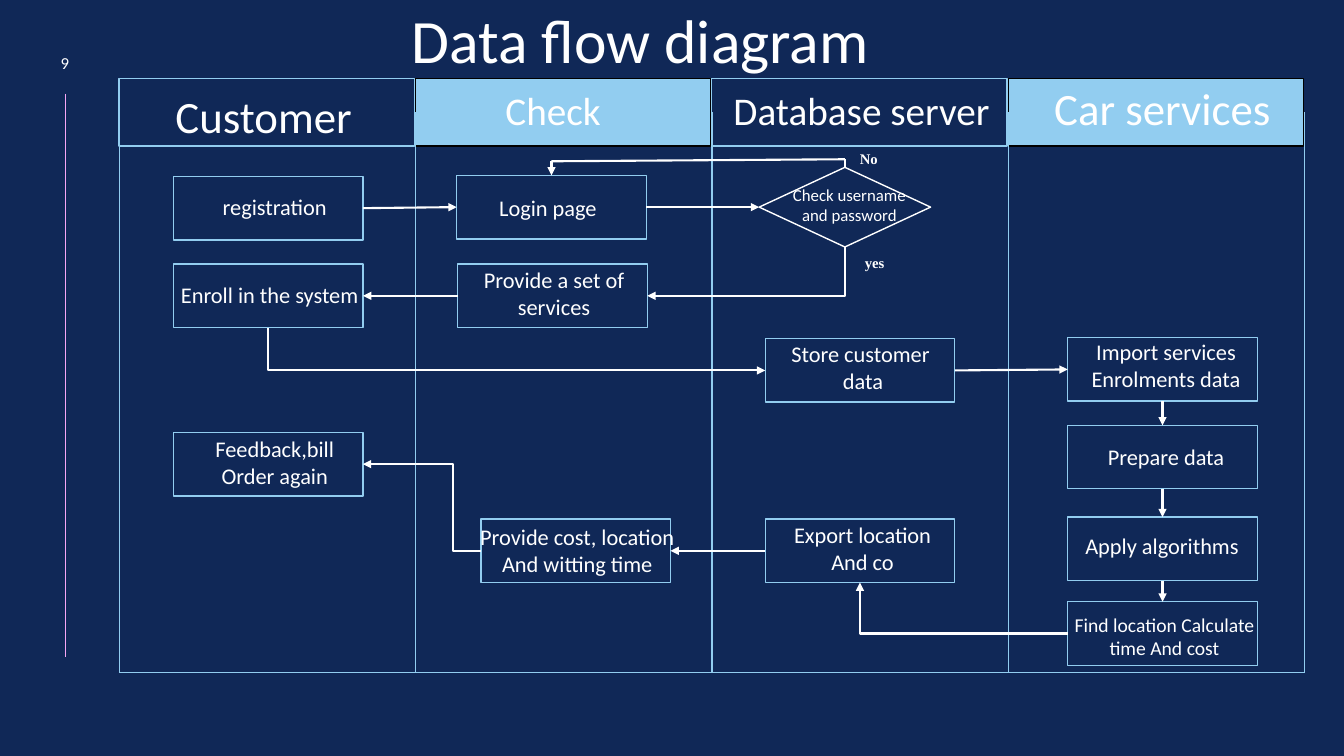
import pptx
import pptx.util
import pptx.dml.color
import pptx.enum.shapes
import pptx.enum.text
import pptx.oxml
import pptx.oxml.ns

WIDTH, HEIGHT = 13.33, 7.5
LANE_LEFT, LANE_TOP, LANE_BOTTOM = 1.18, 0.78, 6.67
LANE_PITCH, HEADER_W, HEADER_H = 2.94, 2.93, 0.67
STEP_W, STEP_H = 1.88, 0.63
NAVY, SKY, WHITE, BLACK, PINK = "102857", "92CDF0", "FFFFFF", "000000", "F6A6F4"

inch = pptx.util.Inches
MSO = pptx.enum.shapes.MSO_SHAPE
LINK = pptx.enum.shapes.MSO_CONNECTOR
ALIGN = pptx.enum.text.PP_ALIGN

# Lane titles: text, size, left, top, width, filled
LANES = [
    ("Customer", 32, 1.54, 0.83, 2.15, False),
    ("Check", 28, 4.29, 0.81, 2.39, True),
    ("Database server", 28, 6.86, 0.81, 3.37, False),
    ("Car services", 32, 9.98, 0.75, 3.1, True),
]

# Steps: lane, inset in the lane, top, lines, label left, label top
STEPS = {
    "register": (0, 0.54, 1.75, ["registration"], 1.65, 1.87),
    "login": (1, 0.41, 1.74, ["Login page"], 4.36, 1.88),
    "enroll": (0, 0.54, 2.62, ["Enroll in the system"], 1.6, 2.74),
    "offer": (1, 0.42, 2.62, ["Provide a set of", "services"], 4.42, 2.59),
    "store": (2, 0.53, 3.36, ["Store customer", " data"], 7.46, 3.33),
    "import": (3, 0.59, 3.35, ["Import services", "Enrolments data"], 10.49, 3.31),
    "prepare": (3, 0.59, 4.22, ["Prepare data"], 10.49, 4.35),
    "apply": (3, 0.59, 5.13, ["Apply algorithms"], 10.45, 5.23),
    "find": (3, 0.59, 5.97, ["Find location Calculate time And cost"], 10.52, 6.03),
    "export": (2, 0.53, 5.15, ["Export location", "And co"], 7.48, 5.12),
    "cost": (1, 0.65, 5.15, ["Provide cost, location", "And witting time"], 4.65, 5.14),
    "feedback": (0, 0.54, 4.29, ["Feedback,bill", "Order again"], 1.65, 4.27),
}

# Straight arrows: step, side, step, side
FLOWS = [
    ("register", "right", "login", "left"),
    ("login", "right", "check", "left"),
    ("offer", "left", "enroll", "right"),
    ("store", "right", "import", "left"),
    ("import", "bottom", "prepare", "top"),
    ("prepare", "bottom", "apply", "top"),
    ("apply", "bottom", "find", "top"),
    ("export", "left", "cost", "right"),
]


def rgb(value):
    return pptx.dml.color.RGBColor.from_string(value)


def lane_x(index):
    return LANE_LEFT + index * LANE_PITCH


def add_box(slide, kind, area, line, fill=None):
    box = slide.shapes.add_shape(kind, *map(inch, area))
    box.shadow.inherit = False
    box.line.color.rgb = rgb(line)
    box.line.width = pptx.util.Pt(1)
    if fill:
        box.fill.solid()
        box.fill.fore_color.rgb = rgb(fill)
    else:
        box.fill.background()


def add_label(slide, lines, area, size, font="Calibri", bold=False, align=ALIGN.CENTER):
    label = slide.shapes.add_textbox(*map(inch, area))
    frame = label.text_frame
    frame.word_wrap = True
    for number, line in enumerate(lines):
        paragraph = frame.add_paragraph() if number else frame.paragraphs[0]
        paragraph.alignment = align
        run = paragraph.add_run()
        run.text = line
        run.font.size = pptx.util.Pt(size)
        run.font.name = font
        run.font.bold = bold
        run.font.color.rgb = rgb(WHITE)
    return frame


def add_line(slide, start, end, color=WHITE, width=1.5, arrow=False, kind=LINK.STRAIGHT):
    line = slide.shapes.add_connector(kind, *map(inch, (*start, *end)))
    line.line.color.rgb = rgb(color)
    line.line.width = pptx.util.Pt(width)
    properties = line._element.spPr
    if arrow:
        head = pptx.oxml.parse_xml(
            f'<a:tailEnd {pptx.oxml.ns.nsdecls("a")} type="triangle"/>')
        line.line._get_or_add_ln().append(head)
    properties.append(pptx.oxml.parse_xml(
        f'<a:effectLst {pptx.oxml.ns.nsdecls("a")}/>'))
    return properties


def add_corner(slide, start, end, vertical_first=False):
    """Arrow with one bend; a vertical start is the same bend turned by 90 degrees."""
    if vertical_first:
        middle_x, middle_y = (start[0] + end[0]) / 2, (start[1] + end[1]) / 2
        half_x, half_y = (end[0] - start[0]) / 2, (end[1] - start[1]) / 2
        start = (middle_x - half_y, middle_y + half_x)
        end = (middle_x + half_y, middle_y - half_x)
    properties = add_line(slide, start, end, arrow=True, kind=LINK.ELBOW)
    properties.find(pptx.oxml.ns.qn("a:prstGeom")).set("prst", "bentConnector2")
    if vertical_first:
        properties.find(pptx.oxml.ns.qn("a:xfrm")).set("rot", "5400000")


def add_step_arrow(slide, start, end, bend):
    """Arrow with two bends, the first at the given share of its width."""
    properties = add_line(slide, start, end, arrow=True, kind=LINK.ELBOW)
    geometry = properties.find(pptx.oxml.ns.qn("a:prstGeom"))
    geometry.find(pptx.oxml.ns.qn("a:avLst")).append(pptx.oxml.parse_xml(
        f'<a:gd {pptx.oxml.ns.nsdecls("a")} name="adj1" fmla="val {round(bend * 100000)}"/>'))


def side(area, name):
    """Middle point of one side of an area."""
    left, top, width, height = area
    across, down = {"left": (0, 0.5), "right": (1, 0.5),
                    "top": (0.5, 0), "bottom": (0.5, 1)}[name]
    return left + across * width, top + down * height


def add_lanes(slide):
    for index, (title, size, left, top, width, filled) in enumerate(LANES):
        header = (lane_x(index), LANE_TOP, HEADER_W, HEADER_H)
        add_box(slide, MSO.RECTANGLE, header, BLACK if filled else SKY, SKY if filled else None)
        add_label(slide, [title], (left, top, width, 0.6), size)
    borders = [lane_x(index) for index in range(len(LANES) + 1)]
    for x in (*borders, borders[2] + 0.01):
        add_line(slide, (x, LANE_TOP + HEADER_H / 2), (x, LANE_BOTTOM), SKY, 0.5)
    for left, right in ((0, 2), (2, 4)):
        add_line(slide, (borders[left], LANE_BOTTOM), (borders[right], LANE_BOTTOM), SKY, 0.5)


def add_steps(slide):
    """Draw the steps and return their areas by key."""
    areas = {"check": (7.53, 1.66, 1.7, 0.79)}
    add_box(slide, MSO.DIAMOND, areas["check"], WHITE)
    add_label(slide, ["Check username and password"], (7.69, 1.78, 1.47, 0.5), 12)
    for key, (lane, inset, top, lines, label_left, label_top) in STEPS.items():
        areas[key] = (lane_x(lane) + inset, top, STEP_W, STEP_H)
        add_box(slide, MSO.RECTANGLE, areas[key], SKY)
        label_w, size = (2.06, 14) if key == "find" else (2.15, 16)
        label_h = 0.1 + 0.27 * len(lines)
        add_label(slide, lines, (label_left, label_top, label_w, label_h), size)
    return areas


def add_flows(slide, areas):
    for source, source_side, target, target_side in FLOWS:
        add_line(slide, side(areas[source], source_side), side(areas[target], target_side),
                 arrow=True)
    add_corner(slide, side(areas["check"], "bottom"), side(areas["offer"], "right"), True)
    add_corner(slide, side(areas["enroll"], "bottom"), side(areas["store"], "left"), True)
    add_corner(slide, side(areas["find"], "left"), side(areas["export"], "bottom"))
    add_step_arrow(slide, side(areas["cost"], "left"), side(areas["feedback"], "right"), 0.24)

    retry_start, retry_end = side(areas["check"], "top"), side(areas["login"], "top")
    above_check, above_login = (retry_start[0], 1.58), (retry_end[0], 1.6)
    add_line(slide, retry_start, above_check)
    add_line(slide, above_check, above_login)
    add_line(slide, above_login, retry_end, arrow=True)
    for answer, left, top in (("No", 8.43, 1.44), ("yes", 8.48, 2.47)):
        add_label(slide, [answer], (left, top, 0.45, 0.29), 10.5,
                  "Times New Roman", True, ALIGN.LEFT)


def main():
    deck = pptx.Presentation()
    deck.slide_width, deck.slide_height = inch(WIDTH), inch(HEIGHT)
    slide = deck.slides.add_slide(deck.slide_layouts[6])
    slide.background.fill.solid()
    slide.background.fill.fore_color.rgb = rgb(NAVY)

    add_line(slide, (0.65, 0.93), (0.65, 6.52), PINK, 0.5)
    page = add_label(slide, ["9"], (0.36, 0.45, 0.57, 0.34), 12)
    page.vertical_anchor = pptx.enum.text.MSO_ANCHOR.MIDDLE
    title = add_label(slide, ["Data flow diagram"], (2.63, -0.08, 6.94, 0.85), 44)
    title.margin_left = inch(0.6)
    title.paragraphs[0].line_spacing = 1.07

    add_lanes(slide)
    add_flows(slide, add_steps(slide))
    deck.save("out.pptx")


if __name__ == "__main__":
    main()
